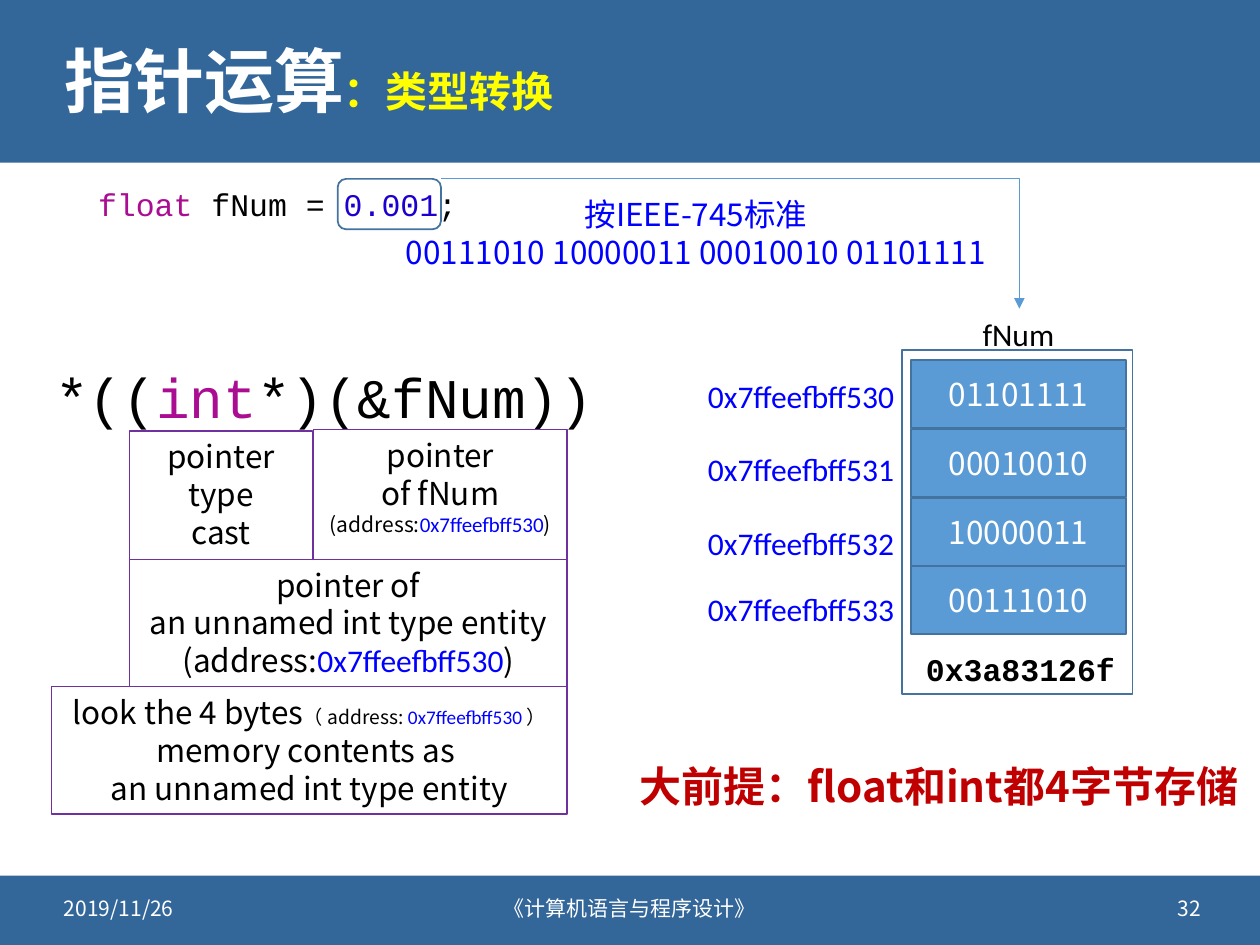
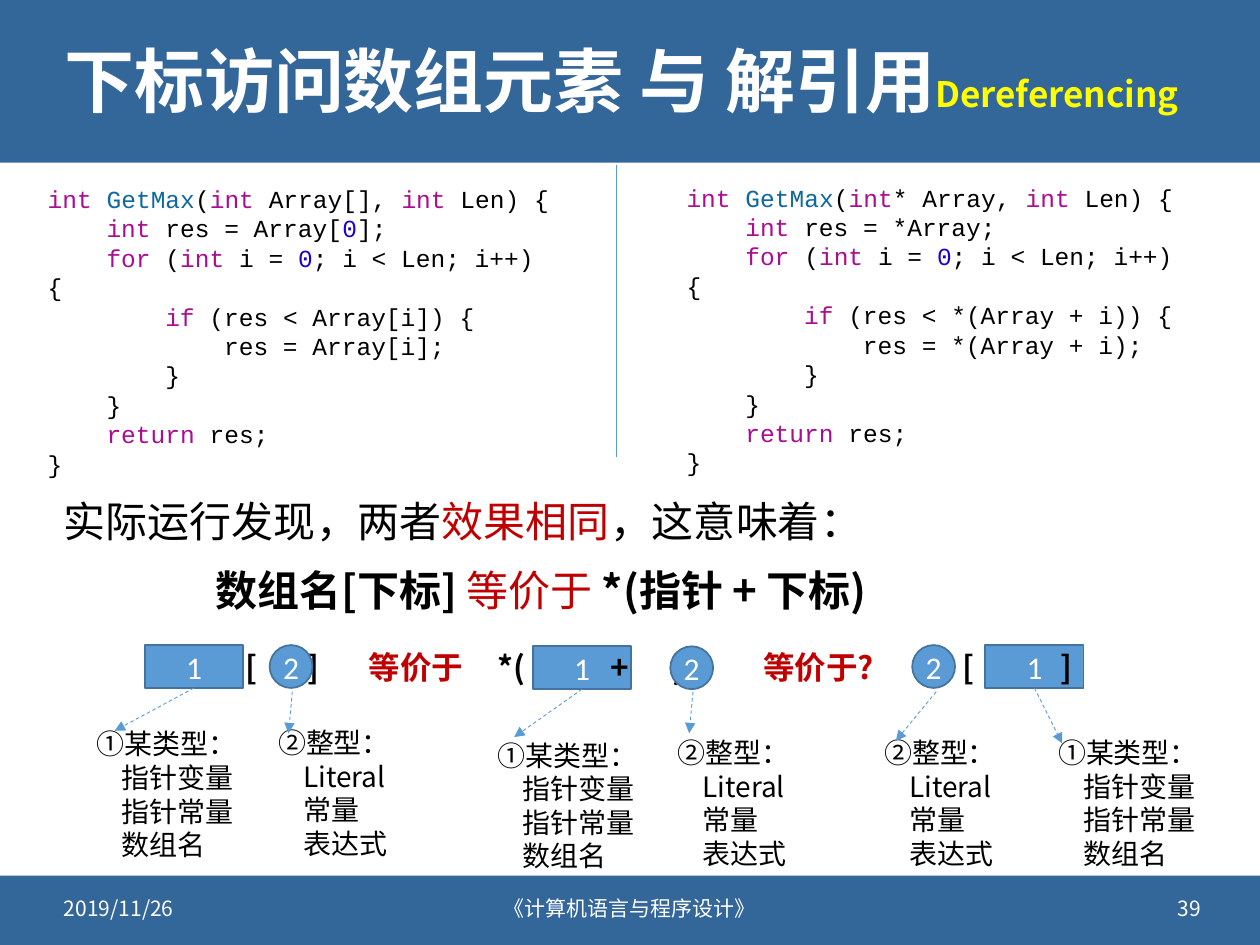
"""Build two lecture slides on pointer casts and array dereferencing."""
from itertools import groupby

from lxml.etree import SubElement
from pptx import Presentation
from pptx.dml.color import RGBColor
from pptx.enum.dml import MSO_LINE
from pptx.enum.shapes import MSO_CONNECTOR as LINK, MSO_SHAPE as SHAPE
from pptx.enum.text import MSO_ANCHOR as ANCHOR, MSO_AUTO_SIZE, PP_ALIGN as ALIGN
from pptx.oxml.ns import qn
from pptx.util import Inches, Pt

WHITE = RGBColor(0xFF, 0xFF, 0xFF)
BLACK = RGBColor(0, 0, 0)
BAND = RGBColor(0x33, 0x66, 0x99)
YELLOW = RGBColor(0xFF, 0xFF, 0)
BLUE = RGBColor(0, 0, 0xFF)
RED = RGBColor(0xC0, 0, 0)
PURPLE = RGBColor(0x70, 0x30, 0xA0)
CELL = RGBColor(0x5B, 0x9B, 0xD5)
EDGE = RGBColor(0x43, 0x73, 0x9E)
KEYWORD = RGBColor(0xAA, 0x0D, 0x91)
NUMBER = RGBColor(0x1C, 0, 0xCF)
FUNCTION = RGBColor(0x0F, 0x68, 0xA0)
SANS, LATIN, CODE = "Noto Sans CJK SC", "Calibri", "Courier New"
SYNTAX = {word: KEYWORD for word in ("int", "float", "for", "if", "return")}
SYNTAX |= {"0": NUMBER, "0.001": NUMBER, "GetMax": FUNCTION}
ADDRESS = "0x7ffeefbff530"


def write(frame, lines, size=18, color=BLACK, font=SANS, bold=False, align=ALIGN.LEFT, step=0):
    """Fill a frame; a line is a string or a list of (text, color, size, font) spans."""
    for index, line in enumerate(lines):
        para = frame.add_paragraph() if index else frame.paragraphs[0]
        para.alignment = align
        if isinstance(line, str):
            text = line.lstrip()
            depth = len(line) - len(text)
            if depth:
                para._p.get_or_add_pPr().set("indent", str(Inches(depth * step)))
            line = [(text,)]
            if font == CODE:
                tokens = groupby(text, lambda char: char.isalnum() or char == ".")
                words = ["".join(chars) for _, chars in tokens]
                line = [(word, SYNTAX.get(word, color)) for word in words]
        for text, *style in line:
            span_color, span_size, span_font = (*style, *(color, size, font)[len(style):])
            span = para.add_run()
            span.text = text
            span.font.size, span.font.bold, span.font.name = Pt(span_size), bold, span_font
            span.font.color.rgb = span_color
            SubElement(span._r.rPr, qn("a:ea"), typeface=SANS)


def add_box(page, at, lines=(), kind=None, fill=None, edge=None, weight=1,
            anchor=ANCHOR.TOP, wrap=False, **style):
    """Add a text box, or a preset shape when a kind is given."""
    place = [Inches(value) for value in at]
    if kind is None:
        box = page.shapes.add_textbox(*place)
    else:
        box = page.shapes.add_shape(kind, *place)
        box.shadow.inherit = False
        box.fill.background()
        box.line.fill.background()
    if fill is not None:
        box.fill.solid()
        box.fill.fore_color.rgb = fill
    if edge is not None:
        box.line.color.rgb = edge
        box.line.width = Pt(weight)
    box.text_frame.word_wrap = wrap
    box.text_frame.vertical_anchor = anchor
    write(box.text_frame, lines, **style)
    return box


deck = Presentation()
deck.slide_width, deck.slide_height = Inches(10), Inches(7.5)
pages = []
for number, heading in (
    ("32", [("指针运算",), ("：类型转换", YELLOW, 24)]),
    ("39", [("下标访问数组元素 与 解引用",), ("Dereferencing", YELLOW, 20)]),
):
    page = deck.slides.add_slide(deck.slide_layouts[5])
    for top, height in ((0, 1.29), (6.95, 0.55)):
        add_box(page, (0, top, 10, height), kind=SHAPE.RECTANGLE, fill=BAND)
    for left, width, text, align in (
        (0.41, 2.4, "2019/11/26", ALIGN.LEFT),
        (3.2, 3.6, "《计算机语言与程序设计》", ALIGN.CENTER),
        (7.23, 2.4, number, ALIGN.RIGHT),
    ):
        add_box(page, (left, 7.01, width, 0.4), [text], anchor=ANCHOR.MIDDLE,
                size=12, color=WHITE, align=align)
    title = page.shapes.title
    title.left, title.top, title.width, title.height = map(Inches, (0.41, 0.18, 9.19, 0.99))
    title.text_frame.auto_size = MSO_AUTO_SIZE.NONE
    title.text_frame.vertical_anchor = ANCHOR.MIDDLE
    write(title.text_frame, [heading], size=40, color=WHITE, bold=True)
    title.text_frame.paragraphs[0].line_spacing = 0.9
    page.shapes._spTree.append(title._element)
    pages.append(page)
cast_page, array_page = pages

add_box(cast_page, (0.68, 1.42, 3.1, 0.4), ["float fNum = 0.001;"], font=CODE)
add_box(cast_page, (7.7, 2.45, 0.78, 0.4), ["fNum"], font=LATIN)
memory = ("01101111", "00010010", "10000011", "00111010")
for index, (bits, label_top) in enumerate(zip(memory, (2.94, 3.52, 4.11, 4.63))):
    add_box(cast_page, (7.23, 2.86 + index * 0.545, 1.71, 0.54), [bits], SHAPE.RECTANGLE,
            CELL, EDGE, anchor=ANCHOR.MIDDLE, color=WHITE, align=ALIGN.CENTER)
    add_box(cast_page, (5.52, label_top, 1.71, 0.4), [f"0x7ffeefbff53{index}"],
            color=BLUE, font=LATIN)
add_box(cast_page, (2.68, 1.42, 0.82, 0.4), kind=SHAPE.ROUNDED_RECTANGLE, edge=EDGE)
add_box(cast_page, (2.96, 1.5, 5.13, 0.71),
        ["按IEEE-745标准", "00111010 10000011 00010010 01101111"],
        wrap=True, color=BLUE, align=ALIGN.CENTER)
elbow = cast_page.shapes.add_connector(
    LINK.ELBOW, Inches(3.5), Inches(1.42), Inches(8.09), Inches(2.45))
elbow._element.spPr.find(qn("a:prstGeom")).set("prst", "bentConnector2")
add_box(cast_page, (0.34, 2.83, 4.52, 0.64), ["*((int*)(&fNum))"], size=32, font=CODE)
for at, lines in (
    ((2.49, 3.41, 2.01, 1.03),
     ["pointer", "of fNum",
      [("(address:", BLACK, 12), (ADDRESS, BLUE, 12, LATIN), (")", BLACK, 12)]]),
    ((1.03, 3.42, 1.45, 1.02), ["pointer", "type", "cast"]),
    ((1.03, 4.44, 3.47, 1.01),
     ["pointer of", "an unnamed int type entity",
      [("(address:",), (ADDRESS, BLUE, 18, LATIN), (")",)]]),
    ((0.41, 5.45, 4.09, 1.01),
     [[("look the 4 bytes",), ("（ address:", BLACK, 11), (f" {ADDRESS} ", BLUE, 11, LATIN),
       ("） ", BLACK, 11), ("memory contents as ",)], "an unnamed int type entity"]),
):
    add_box(cast_page, at, lines, SHAPE.RECTANGLE, edge=PURPLE, weight=0.75,
            wrap=True, align=ALIGN.CENTER)
add_box(cast_page, (4.98, 5.99, 5.02, 0.5), ["大前提：float和int都4字节存储"],
        wrap=True, size=24, color=RED, bold=True)
add_box(cast_page, (7.25, 5.11, 1.73, 0.4), ["0x3a83126f"], font=CODE, bold=True)
add_box(cast_page, (7.16, 2.78, 1.83, 2.73), kind=SHAPE.RECTANGLE, edge=EDGE)

for left, top, parameter, first, element in (
    (0.28, 1.41, "int Array[]", "Array[0]", "Array[i]"),
    (5.35, 1.4, "int* Array", "*Array", "*(Array + i)"),
):
    add_box(array_page, (left, top, 4.28, 2.22), [
        f"int GetMax({parameter}, int Len) {{",
        f"    int res = {first};",
        "    for (int i = 0; i < Len; i++) {",
        f"        if (res < {element}) {{",
        f"            res = {element};",
        "        }",
        "    }",
        "    return res;",
        "}",
    ], wrap=True, size=14, font=CODE, step=0.1167)
divider = array_page.shapes.add_connector(
    LINK.STRAIGHT, Inches(4.89), Inches(1.31), Inches(4.89), Inches(3.63))
add_box(array_page, (0.41, 3.88, 6.57, 0.5),
        [[("实际运行发现，两者",), ("效果相同", RED), ("，这意味着：",)]], wrap=True, size=24)
rule = add_box(array_page, (1.61, 4.43, 6.57, 0.5),
               [[("数组名[下标] ",), ("等价于 ", RED), ("*(指针 + 下标)",)]],
               wrap=True, size=24, bold=True)
rule.text_frame.paragraphs[0].runs[1].font.bold = False

for left, width, text in ((2.83, 0.96, "等价于"), (5.96, 1.08, "等价于?")):
    add_box(array_page, (left, 5.09, width, 0.4), [text], color=RED, bold=True)

pointer_note = ["①某类型：", "    指针变量", "    指针常量", "    数组名"]
integer_note = ["②整型：", "    Literal", "    常量", "    表达式"]
arrows = [elbow]
for top, base, circle, symbols, pointer_at, integer_at, pointer_tip, integer_start, integer_tip in (
    (5.12, 1.15, 2.14, ((1.85, "["), (2.34, "]")),
     (0.67, 5.72), (2.11, 5.71), (0.91, 5.8), 2.32, (2.29, 5.82)),
    (5.13, 4.23, 5.32, ((3.85, "*("), (4.75, "+"), (5.24, ")")),
     (3.85, 5.81), (5.28, 5.79), (4.08, 5.85), 5.5, (5.47, 5.82)),
    (5.12, 7.82, 7.24, ((7.54, "["), (8.32, "]")),
     (8.3, 5.79), (6.92, 5.79), (8.43, 5.9), 7.43, (7.11, 5.88)),
):
    look = dict(fill=CELL, edge=EDGE, anchor=ANCHOR.MIDDLE, color=WHITE,
                font=LATIN, align=ALIGN.CENTER)
    block = add_box(array_page, (base, top, 0.78, 0.34), ["1"], SHAPE.RECTANGLE, **look)
    for left, symbol in symbols:
        add_box(array_page, (left, 5.09, 0.6, 0.4), [symbol], wrap=True, bold=True)
    add_box(array_page, (circle, top, 0.34, 0.34), ["2"], SHAPE.OVAL, **look)
    add_box(array_page, (*pointer_at, 1.37, 1.18), pointer_note, size=16, step=0.05)
    add_box(array_page, (*integer_at, 1.14, 1.18), integer_note, size=16, step=0.05)
    for start, tip in (((base + 0.39, top + 0.34), pointer_tip),
                       ((integer_start, 5.49), integer_tip)):
        arrow = array_page.shapes.add_connector(LINK.STRAIGHT, *map(Inches, (*start, *tip)))
        arrow.line.dash_style = MSO_LINE.DASH
        if tip == pointer_tip:
            arrow.begin_connect(block, 2)
        arrows.append(arrow)

for link in [divider, *arrows]:
    link.line.color.rgb = CELL
    link.line.width = Pt(0.5)
    SubElement(link._element.spPr, qn("a:effectLst"))
for arrow in arrows:
    SubElement(arrow.line._get_or_add_ln(), qn("a:tailEnd"), type="triangle")

deck.save("out.pptx")
